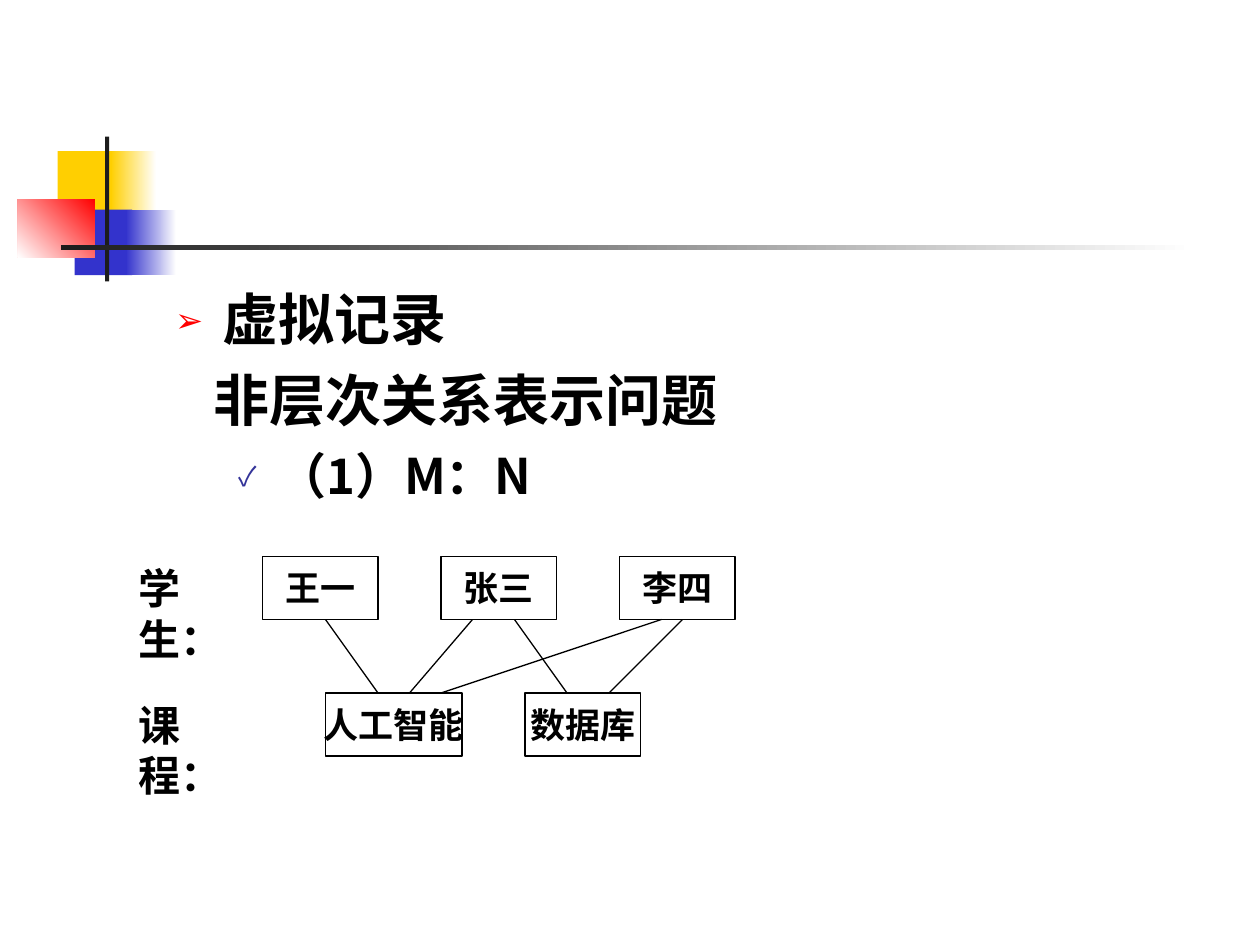
from typing import NamedTuple, Optional

from lxml import etree
from pptx import Presentation
from pptx.dml.color import RGBColor
from pptx.enum.shapes import MSO_CONNECTOR, MSO_SHAPE
from pptx.enum.text import MSO_ANCHOR, MSO_AUTO_SIZE, PP_ALIGN
from pptx.oxml.ns import qn
from pptx.util import Pt

RECTANGLE = MSO_SHAPE.RECTANGLE
STRAIGHT = MSO_CONNECTOR.STRAIGHT
MIDDLE = MSO_ANCHOR.MIDDLE
CENTER = PP_ALIGN.CENTER
GROW = MSO_AUTO_SIZE.SHAPE_TO_FIT_TEXT

COLORS = {
    "black": "000000",
    "white": "FFFFFF",
    "yellow": "FFCF01",
    "blue": "3333CC",
    "red": "FF0000",
    "dark": "1C1C1C",
    "navy": "333399",
}
HEADING_FONT = "Noto Sans CJK SC"
DIAGRAM_FONT = "Karla"
BOX_HEIGHT = 36
STUDENT_TOP = 318
COURSE_TOP = 396
LABEL_LEFT = 72


class Ornament(NamedTuple):
    left: float
    top: float
    width: float
    height: float
    start: str
    end: Optional[str] = None
    angle: float = 180


class Bullet(NamedTuple):
    character: str
    color: str
    percent: int


class Line(NamedTuple):
    text: str
    size: float
    margin: float
    indent: float = 0
    space_before: float = 0
    level: int = 0
    bullet: Optional[Bullet] = None


class Box(NamedTuple):
    text: str
    left: float
    top: float
    width: float = 66


class Link(NamedTuple):
    student_x: float
    course_x: float


ORNAMENTS = [
    Ornament(33, 86.4, 34.5, 37.5, "yellow"),
    Ornament(63.3, 86.4, 26, 37.5, "white", "yellow"),
    Ornament(42.6, 119.8, 33, 37.5, "blue"),
    Ornament(72, 119.8, 28.8, 37.5, "white", "blue"),
    Ornament(10, 113.8, 44.2, 33.2, "red", "white", 225),
    Ornament(60, 78, 2.4, 82.8, "dark"),
    Ornament(34.6, 140.2, 648, 2.4, "white", "dark"),
]
LINES = [
    Line("虚拟记录", 32, 27, -27, bullet=Bullet("➢", "red", 60)),
    Line("非层次关系表示问题", 32, 22, space_before=8),
    Line("（1）M：N", 28, 58.5, -22.5, 7, 1, Bullet("✓", "navy", 55)),
]
BOXES = [
    Box(name, 150 + 102 * index, STUDENT_TOP)
    for index, name in enumerate(("王一", "张三", "李四"))
] + [Box("人工智能", 186, COURSE_TOP, 78), Box("数据库", 300, COURSE_TOP)]
LABELS = [
    Box("学生：", LABEL_LEFT, STUDENT_TOP, 78),
    Box("课程：", LABEL_LEFT, COURSE_TOP, 72),
]
LINKS = [Link(186, 216), Link(270, 234), Link(378, 252), Link(294, 324), Link(390, 348)]


def rgb(name: str) -> RGBColor:
    return RGBColor.from_string(COLORS[name])


def add_text(paragraph, text: str, size: float, typeface: str) -> None:
    run = paragraph.add_run()
    run.text = text
    values = {"name": typeface, "size": Pt(size), "bold": True}
    for key, value in values.items():
        setattr(run.font, key, value)
    run.font.color.rgb = rgb("black")
    latin = run.font._element.find(qn("a:latin"))
    east_asian = etree.Element(qn("a:ea"), typeface=typeface)
    latin.addnext(east_asian)


def add_bullet(paragraph, bullet: Bullet) -> None:
    properties = paragraph._p.get_or_add_pPr()
    color = etree.SubElement(properties, qn("a:buClr"))
    etree.SubElement(color, qn("a:srgbClr"), val=COLORS[bullet.color])
    etree.SubElement(properties, qn("a:buSzPct"), val=str(bullet.percent * 1000))
    etree.SubElement(properties, qn("a:buFont"), typeface=HEADING_FONT)
    etree.SubElement(properties, qn("a:buChar"), char=bullet.character)


def add_rectangle(slide, left: float, top: float, width: float, height: float):
    shape = slide.shapes.add_shape(RECTANGLE, Pt(left), Pt(top), Pt(width), Pt(height))
    shape.shadow.inherit = False
    return shape


def draw_ornament(slide, ornament: Ornament) -> None:
    shape = add_rectangle(slide, *ornament[:4])
    shape.line.fill.background()
    if ornament.end is None:
        shape.fill.solid()
        shape.fill.fore_color.rgb = rgb(ornament.start)
        return
    shape.fill.gradient()
    shape.fill.gradient_angle = ornament.angle
    stops = shape.fill.gradient_stops
    for position, (stop, name) in enumerate(zip(stops, (ornament.start, ornament.end))):
        stop.position = position
        stop.color.rgb = rgb(name)


def draw_body(slide, lines: list[Line]) -> None:
    shape = slide.shapes.add_textbox(Pt(93), Pt(159), Pt(612), Pt(141))
    frame = shape.text_frame
    frame.word_wrap = True
    for index, line in enumerate(lines):
        paragraph = frame.add_paragraph() if index else frame.paragraphs[0]
        properties = paragraph._p.get_or_add_pPr()
        properties.set("marL", str(Pt(line.margin)))
        properties.set("indent", str(Pt(line.indent)))
        if line.bullet:
            add_bullet(paragraph, line.bullet)
        values = {"level": line.level, "space_before": Pt(line.space_before)}
        for key, value in values.items():
            setattr(paragraph, key, value)
        add_text(paragraph, line.text, line.size, HEADING_FONT)


def draw_box(slide, box: Box) -> None:
    shape = add_rectangle(slide, box.left, box.top, box.width, BOX_HEIGHT)
    shape.fill.background()
    shape.line.color.rgb = rgb("black")
    shape.line.width = Pt(0.75)
    frame = shape.text_frame
    for key, value in {"word_wrap": False, "vertical_anchor": MIDDLE}.items():
        setattr(frame, key, value)
    frame.paragraphs[0].alignment = CENTER
    add_text(frame.paragraphs[0], box.text, 20, DIAGRAM_FONT)


def draw_label(slide, label: Box) -> None:
    shape = slide.shapes.add_textbox(
        Pt(label.left), Pt(label.top), Pt(label.width), Pt(BOX_HEIGHT)
    )
    frame = shape.text_frame
    for key, value in {"word_wrap": True, "auto_size": GROW}.items():
        setattr(frame, key, value)
    paragraph = frame.paragraphs[0]
    paragraph._p.get_or_add_pPr().set("hangingPunct", "0")
    add_text(paragraph, label.text, 24, DIAGRAM_FONT)


def draw_link(slide, link: Link) -> None:
    connector = slide.shapes.add_connector(
        STRAIGHT, Pt(link.student_x), Pt(STUDENT_TOP + BOX_HEIGHT), Pt(link.course_x), Pt(COURSE_TOP)
    )
    connector.line.color.rgb = rgb("black")
    connector.line.width = Pt(0.75)
    etree.SubElement(connector._element.spPr, qn("a:effectLst"))


def main() -> None:
    presentation = Presentation()
    presentation.slide_width = Pt(720)
    presentation.slide_height = Pt(540)
    slide = presentation.slides.add_slide(presentation.slide_layouts[6])
    for ornament in ORNAMENTS:
        draw_ornament(slide, ornament)
    draw_body(slide, LINES)
    for box in BOXES:
        draw_box(slide, box)
    for label in LABELS:
        draw_label(slide, label)
    for link in LINKS:
        draw_link(slide, link)
    presentation.save("out.pptx")


if __name__ == "__main__":
    main()
